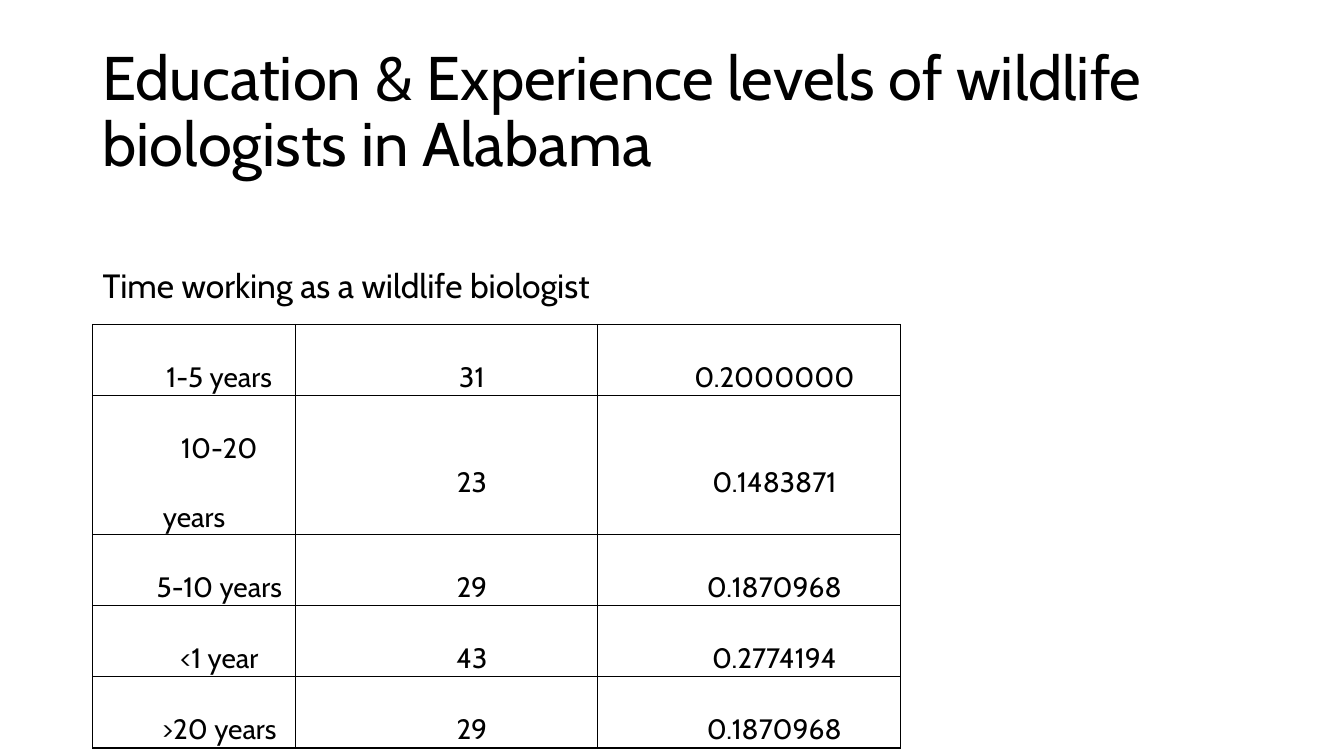
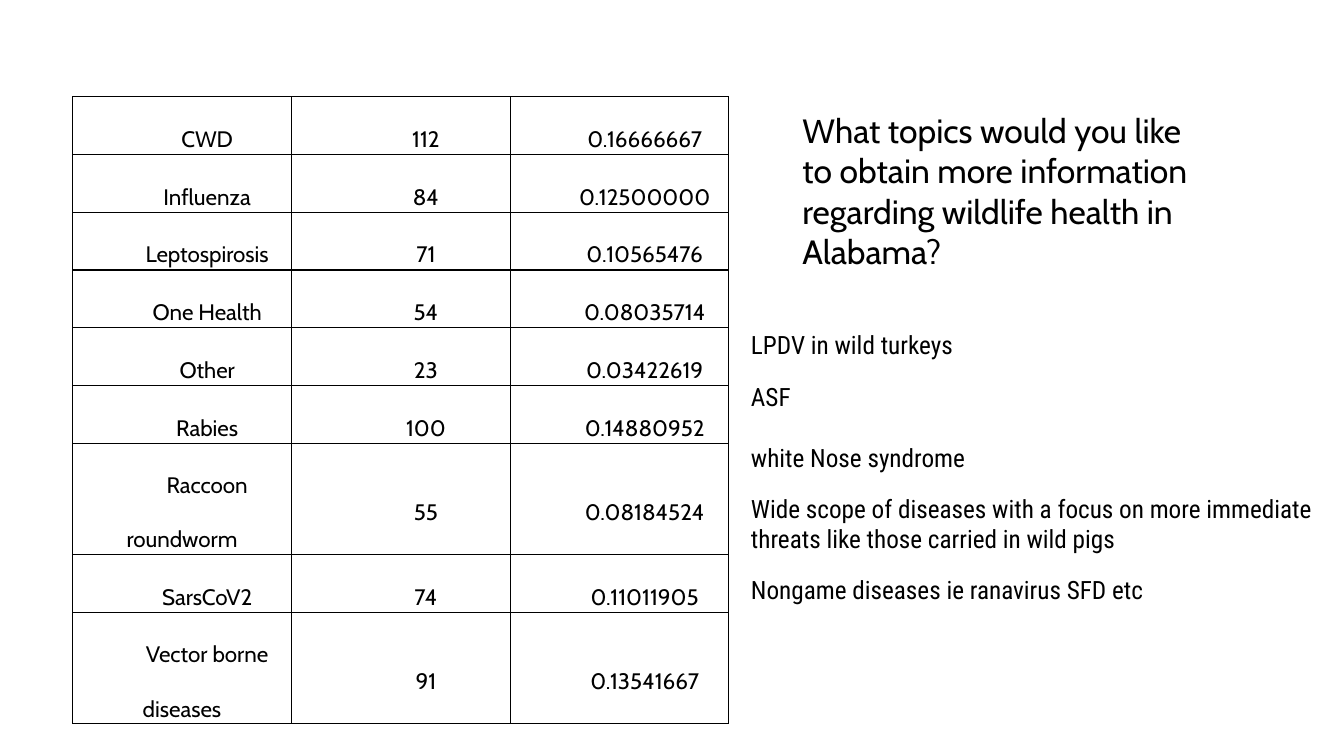
import dataclasses

import lxml.etree
import pptx
import pptx.dml.color
import pptx.enum.text
import pptx.oxml.ns
import pptx.util

Inches = pptx.util.Inches
Anchor = pptx.enum.text.MSO_ANCHOR
Align = pptx.enum.text.PP_ALIGN
AutoSize = pptx.enum.text.MSO_AUTO_SIZE
qualified = pptx.oxml.ns.qn


@dataclasses.dataclass(frozen=True)
class Theme:
    ink: str = "000000"
    main_font: str = "Cabin"
    answer_font: str = "Roboto Condensed"
    title_size: int = 44
    heading_size: int = 24
    large_table_size: int = 20
    answer_size: int = 18
    small_table_size: int = 16
    border_width: int = 1


THEME = Theme()

EXPERIENCE = [
    ("1-5 years", "31", "0.2000000"),
    ("10-20 years", "23", "0.1483871"),
    ("5-10 years", "29", "0.1870968"),
    ("<1 year", "43", "0.2774194"),
    (">20 years", "29", "0.1870968"),
]

TOPICS = [
    ("CWD", "112", "0.16666667"),
    ("Influenza", "84", "0.12500000"),
    ("Leptospirosis", "71", "0.10565476"),
    ("One Health", "54", "0.08035714"),
    ("Other", "23", "0.03422619"),
    ("Rabies", "100", "0.14880952"),
    ("Raccoon roundworm", "55", "0.08184524"),
    ("SarsCoV2", "74", "0.11011905"),
    ("Vector borne diseases", "91", "0.13541667"),
]

ANSWERS = [
    (3.22, 6.67, 0.4, ["LPDV in wild turkeys"]),
    (3.73, 6.67, 1.01, ["ASF", "white Nose syndrome"]),
    (4.84, 5.87, 0.71, ["Wide scope of diseases with a focus on more immediate "
                        "threats like those carried in wild pigs"]),
    (5.65, 7.07, 0.4, ["Nongame diseases ie ranavirus SFD etc"]),
]


def write_text(text_frame, *lines, size, font=THEME.main_font, align=Align.LEFT,
               line_spacing=1.0, gap=0, indent=0):
    for index, line in enumerate(lines):
        paragraph = text_frame.paragraphs[0] if index == 0 else text_frame.add_paragraph()
        paragraph.alignment = align
        paragraph.line_spacing = line_spacing
        if index:
            paragraph.space_before = pptx.util.Pt(gap)
        if indent:
            properties = paragraph._p.get_or_add_pPr()
            properties.set("marL", "0")
            properties.set("indent", str(Inches(indent)))
        run = paragraph.add_run()
        run.text = line
        run.font.name = font
        run.font.size = pptx.util.Pt(size)
        run.font.color.rgb = pptx.dml.color.RGBColor.from_string(THEME.ink)


def add_text_box(slide, left, top, width, height, *lines, anchor=Anchor.TOP,
                 wrap=True, auto_size=AutoSize.SHAPE_TO_FIT_TEXT, **text_format):
    shape = slide.shapes.add_textbox(Inches(left), Inches(top), Inches(width), Inches(height))
    text_frame = shape.text_frame
    text_frame.word_wrap = wrap
    text_frame.auto_size = auto_size
    text_frame.vertical_anchor = anchor
    write_text(text_frame, *lines, **text_format)


def add_borders(cell):
    properties = cell._tc.get_or_add_tcPr()
    for side in ("a:lnL", "a:lnR", "a:lnT", "a:lnB"):
        line = lxml.etree.SubElement(properties, qualified(side),
                                     w=str(pptx.util.Pt(THEME.border_width)))
        fill = lxml.etree.SubElement(line, qualified("a:solidFill"))
        lxml.etree.SubElement(fill, qualified("a:srgbClr"), val=THEME.ink)


def add_data_table(slide, left, top, column_widths, rows, size, row_height=0.38):
    frame = slide.shapes.add_table(
        len(rows), len(column_widths), Inches(left), Inches(top),
        Inches(sum(column_widths)), Inches(row_height * len(rows)))
    table = frame.table
    table.first_row = False
    table.horz_banding = False
    for column, width in zip(table.columns, column_widths):
        column.width = Inches(width)
    for row, values in zip(table.rows, rows):
        for cell, value in zip(row.cells, values):
            cell.margin_left = cell.margin_right = Inches(0.06)
            cell.margin_top = cell.margin_bottom = Inches(0.02)
            cell.vertical_anchor = Anchor.MIDDLE
            add_borders(cell)
            cell.fill.background()
            write_text(cell.text_frame, value, size=size, align=Align.CENTER,
                       line_spacing=2.0, indent=0.5)


def add_slide(presentation):
    return presentation.slides.add_slide(presentation.slide_layouts[6])


def build_experience_slide(presentation):
    slide = add_slide(presentation)
    add_text_box(slide, 0.92, 0.4, 11.5, 1.45,
                 "Education & Experience levels of wildlife biologists in Alabama",
                 anchor=Anchor.MIDDLE, auto_size=AutoSize.NONE,
                 size=THEME.title_size, line_spacing=0.9)
    add_text_box(slide, 0.92, 2.58, 5.19, 0.5, "Time working as a wildlife biologist",
                 anchor=Anchor.MIDDLE, wrap=False, size=THEME.heading_size)
    add_data_table(slide, 0.92, 3.22, (2.01, 3, 3), EXPERIENCE, THEME.large_table_size)


def build_topics_slide(presentation):
    slide = add_slide(presentation)
    add_text_box(slide, 7.86, 1.04, 4.19, 1.72,
                 "What topics would you like to obtain more information "
                 "regarding wildlife health in Alabama?",
                 size=THEME.heading_size)
    add_data_table(slide, 0.72, 0.96, (2.17,) * 3, TOPICS, THEME.small_table_size)
    for top, width, height, lines in ANSWERS:
        add_text_box(slide, 7.35, top, width, height, *lines,
                     size=THEME.answer_size, font=THEME.answer_font, gap=22)


def main():
    presentation = pptx.Presentation()
    presentation.slide_width = Inches(13.33)
    presentation.slide_height = Inches(7.5)
    build_experience_slide(presentation)
    build_topics_slide(presentation)
    presentation.save("out.pptx")


if __name__ == "__main__":
    main()
